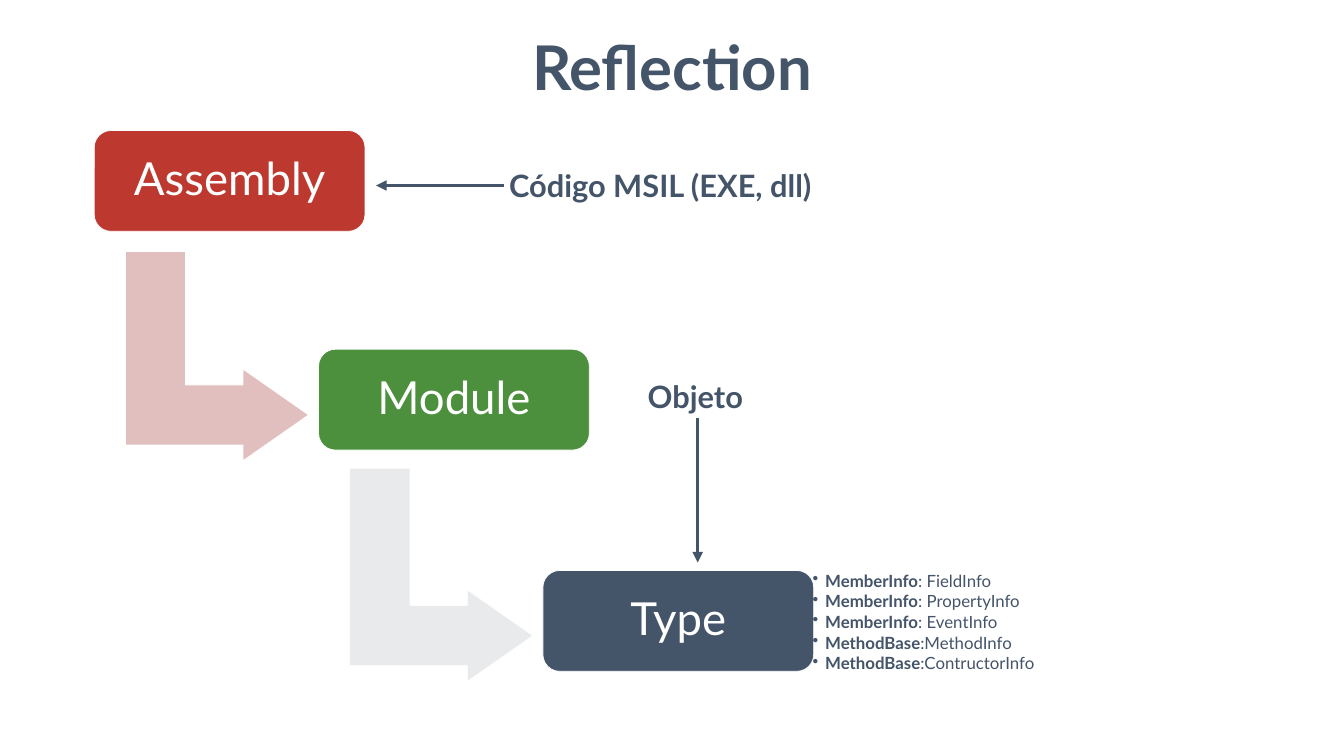
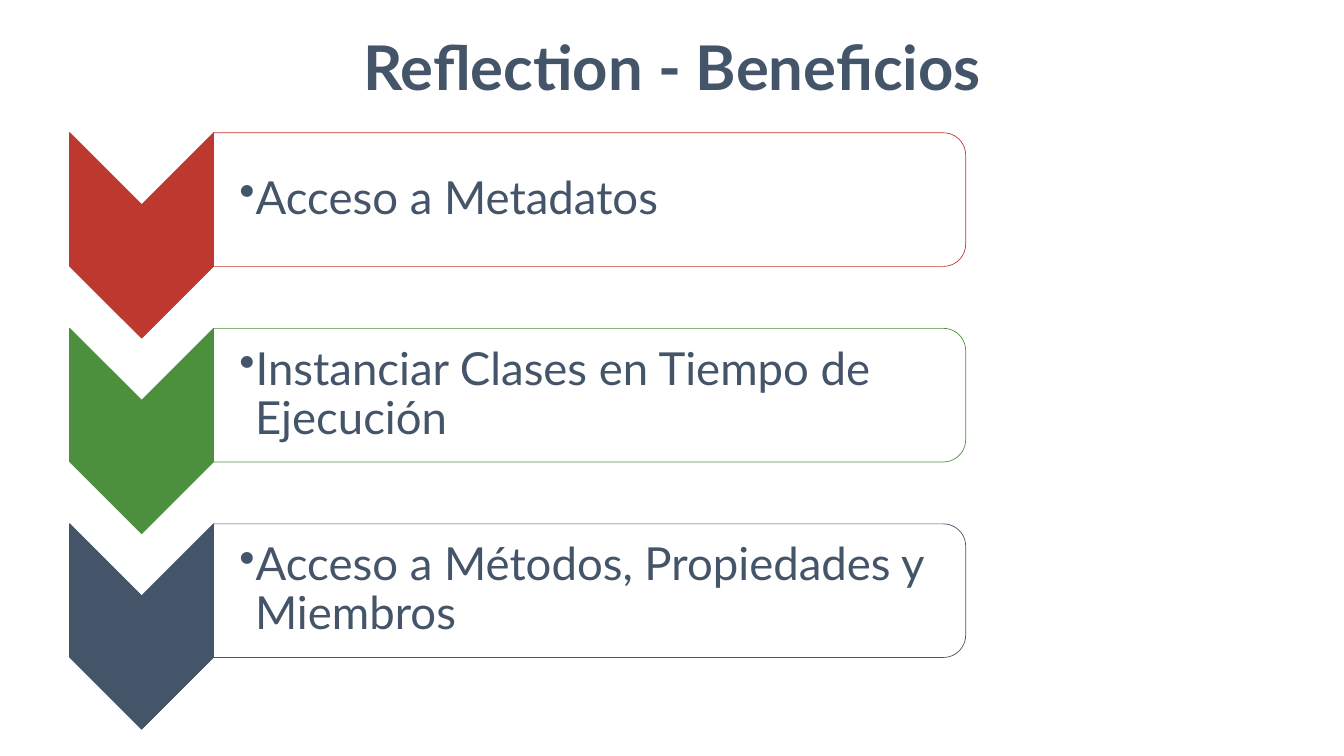
"""Build two slides on reflection: its object levels and its benefits."""
from lxml.etree import SubElement
from pptx import Presentation
from pptx.dml.color import RGBColor
from pptx.enum.shapes import MSO_CONNECTOR, MSO_SHAPE
from pptx.enum.text import MSO_ANCHOR, MSO_AUTO_SIZE, PP_ALIGN
from pptx.oxml.ns import qn
from pptx.util import Inches, Pt

RED = RGBColor(0xBD, 0x39, 0x2F)
GREEN = RGBColor(0x4C, 0x90, 0x3D)
SLATE = RGBColor(0x44, 0x54, 0x69)
PINK = RGBColor(0xE1, 0xBF, 0xBE)
GRAY = RGBColor(0xE9, 0xEA, 0xEB)
WHITE = RGBColor(0xFF, 0xFF, 0xFF)
HUES = (RED, GREEN, SLATE)


class Deck:
    def __init__(self):
        self.prs = Presentation()
        self.prs.slide_width = Inches(26.66)
        self.prs.slide_height = Inches(15)
        self.font = "Lato"

    def start(self, title):
        self.slide = self.prs.slides.add_slide(self.prs.slide_layouts[5])
        head = self.slide.shapes.title
        head.left, head.top = Inches(6.57), Inches(0.53)
        head.width, head.height = Inches(13.52), Inches(1.58)
        frame = head.text_frame
        frame.auto_size = MSO_AUTO_SIZE.NONE
        self.inset(frame, 0.1, 0.05, 0.1, 0.05)
        frame.vertical_anchor = MSO_ANCHOR.TOP
        para = frame.paragraphs[0]
        para.alignment = PP_ALIGN.CENTER
        self.run(para, title, 88, bold=True)

    def inset(self, frame, left, top, right, bottom):
        frame.margin_left, frame.margin_top = Inches(left), Inches(top)
        frame.margin_right, frame.margin_bottom = Inches(right), Inches(bottom)

    def run(self, para, text, size, color=SLATE, bold=False):
        run = para.add_run()
        run.text = text
        run.font.name = self.font
        run.font.size = Pt(size)
        run.font.bold = bold
        run.font.color.rgb = color

    def space(self, para, after):
        para.line_spacing = 0.9
        props = para._p.get_or_add_pPr()
        gap = SubElement(props, qn("a:spcAft"))
        SubElement(gap, qn("a:spcPct")).set("val", str(after * 1000))
        return props

    def shape(self, kind, box, fill, line=WHITE, turn=0):
        shape = self.slide.shapes.add_shape(kind, *map(Inches, box))
        shape.shadow.inherit = False
        shape.rotation = turn
        shape.fill.solid()
        shape.fill.fore_color.rgb = fill
        shape.line.color.rgb = line
        shape.line.width = Pt(1)
        return shape

    def level(self, left, top, text, fill):
        shape = self.shape(MSO_SHAPE.ROUNDED_RECTANGLE, (left, top, 5.37, 2), fill)
        frame = shape.text_frame
        frame.vertical_anchor = MSO_ANCHOR.MIDDLE
        self.inset(frame, 0.27, 0.27, 0.27, 0.27)
        para = frame.paragraphs[0]
        para.alignment = PP_ALIGN.CENTER
        self.space(para, 35)
        self.run(para, text, 65, WHITE)

    def bend(self, left, top, width, fill):
        shape = self.shape(MSO_SHAPE.BENT_UP_ARROW, (left, top, width, 3.63), fill, turn=90)
        for spot, value in enumerate((0.328, 0.25, 0.358)):
            shape.adjustments[spot] = value

    def list(self, box, lines, size, insets, dent):
        frame = self.slide.shapes.add_textbox(*map(Inches, box)).text_frame
        frame.word_wrap = True
        frame.vertical_anchor = MSO_ANCHOR.MIDDLE
        self.inset(frame, *insets)
        for spot, parts in enumerate(lines):
            para = frame.add_paragraph() if spot else frame.paragraphs[0]
            props = self.space(para, 15)
            props.set("marL", str(Inches(dent)))
            props.set("indent", str(-Inches(dent)))
            SubElement(props, qn("a:buChar")).set("char", "•")
            for text, bold in parts:
                self.run(para, text, size, bold=bold)

    def label(self, box, text):
        frame = self.slide.shapes.add_textbox(*map(Inches, box)).text_frame
        frame.word_wrap = False
        frame.auto_size = MSO_AUTO_SIZE.SHAPE_TO_FIT_TEXT
        self.run(frame.paragraphs[0], text, 44, bold=True)

    def arrow(self, *ends):
        link = self.slide.shapes.add_connector(MSO_CONNECTOR.STRAIGHT, *map(Inches, ends))
        link.line.color.rgb = SLATE
        link.line.width = Pt(5)
        SubElement(link.line._get_or_add_ln(), qn("a:tailEnd")).set("type", "triangle")
        SubElement(link._element.spPr, qn("a:effectLst"))

    def gain(self, top, text, hue):
        self.shape(MSO_SHAPE.CHEVRON, (0.77, top, 4.08, 2.86), hue, hue, 90)
        panel = self.shape(MSO_SHAPE.ROUND_2_SAME_RECTANGLE,
                           (10.37, top - 6.74, 2.65, 14.92), WHITE, hue, 90)
        tint = panel._element.spPr.find(qn("a:solidFill"))[0]
        SubElement(tint, qn("a:alpha")).set("val", "90000")
        self.list((4.24, top - 0.48, 14.79, 2.39), [[(text, False)]], 65,
                  (0.51, 0.05, 0.05, 0.05), 0.31)


deck = Deck()
deck.start("Reflection")
deck.bend(2.23, 5.25, 4.15, PINK)
deck.bend(6.64, 9.59, 4.23, GRAY)
names = ("Assembly", "Module", "Type")
for step, (name, top, hue) in enumerate(zip(names, (2.59, 6.93, 11.32), HUES)):
    deck.level(1.87 + 4.45 * step, top, name, hue)
kinds = (
    ("MemberInfo", ": FieldInfo"),
    ("MemberInfo", ": PropertyInfo"),
    ("MemberInfo", ": EventInfo"),
    ("MethodBase", ":MethodInfo"),
    ("MethodBase", ":ContructorInfo"),
)
rows = [[(base, True), (kind, False)] for base, kind in kinds]
deck.list((16.02, 10.84, 5.15, 3.04), rows, 24, (0.1, 0.1, 0.1, 0.1), 0.25)
deck.label((10, 3.26, 6.67, 0.84), "Código MSIL (EXE, dll)")
deck.arrow(10, 3.68, 7.46, 3.68)
deck.label((12.75, 7.44, 2.18, 0.84), "Objeto")
deck.arrow(13.84, 8.29, 13.84, 11.16)

deck.start("Reflection - Beneficios")
gains = (
    "Acceso a Metadatos",
    "Instanciar Clases en Tiempo de Ejecución",
    "Acceso a Métodos, Propiedades y Miembros",
)
for step, (text, hue) in enumerate(zip(gains, HUES)):
    deck.gain(3.24 + 3.88 * step, text, hue)

deck.prs.save("out.pptx")
